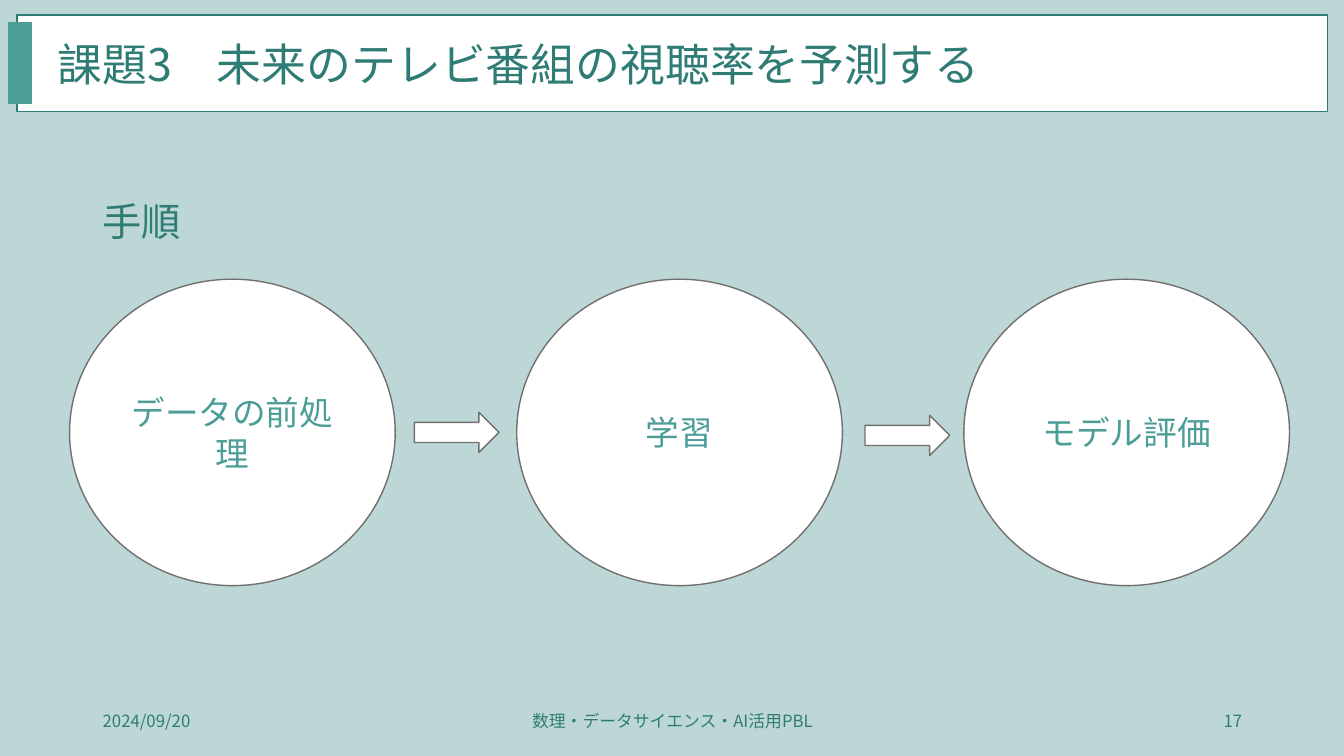
from dataclasses import dataclass

from lxml import etree
from pptx import Presentation
from pptx.dml.color import RGBColor
from pptx.enum import shapes, text
from pptx.oxml import ns
from pptx.util import Inches, Pt

SHAPE = shapes.MSO_SHAPE
ALIGN = text.PP_ALIGN
ANCHOR = text.MSO_ANCHOR


@dataclass(frozen=True)
class Theme:
    font: str = "Noto Sans CJK JP"
    back: str = "BDD7D6"
    panel: str = "FFFFFF"
    dark: str = "2F7C75"
    light: str = "4B9D96"
    edge: str = "707070"
    title: int = 32
    head: int = 28
    step: int = 24
    foot: int = 12


THEME = Theme()


def color(code):
    return RGBColor.from_string(code)


def write(frame, words, size, ink, align=ALIGN.LEFT, anchor=ANCHOR.TOP):
    """Fill a frame with one paragraph, in the theme font for all scripts."""
    frame.word_wrap = True
    frame.vertical_anchor = anchor
    para = frame.paragraphs[0]
    para.text = words
    para.alignment = align
    font = para.font
    font.size = Pt(size)
    font.color.rgb = color(ink)
    font.name = THEME.font
    props = para._p.pPr.find(ns.qn("a:defRPr"))
    etree.SubElement(props, ns.qn("a:ea"), typeface=THEME.font)


def add_form(slide, kind, box, fill, line):
    form = slide.shapes.add_shape(kind, *map(Inches, box))
    form.shadow.inherit = False
    form.fill.solid()
    form.fill.fore_color.rgb = color(fill)
    form.line.color.rgb = color(line)
    form.line.width = Pt(1)
    return form


def add_label(slide, box, words, size, **place):
    label = slide.shapes.add_textbox(*map(Inches, box))
    write(label.text_frame, words, size, THEME.dark, **place)
    return label


def add_title(slide, words):
    add_form(slide, SHAPE.RECTANGLE, (0.17, 0.15, 13, 0.96), THEME.panel, THEME.dark)
    add_form(slide, SHAPE.RECTANGLE, (0.09, 0.23, 0.22, 0.8), THEME.light, THEME.light)
    title = slide.shapes.title
    title.left, title.top, title.width, title.height = map(
        Inches, (0.47, 0.31, 12.54, 0.64))
    write(title.text_frame, words, THEME.title, THEME.dark)
    title.text_frame.auto_size = text.MSO_AUTO_SIZE.SHAPE_TO_FIT_TEXT
    # The title must lie in front of its panel.
    slide.shapes._spTree.append(title._element)


def add_steps(slide, steps):
    for i, step in enumerate(steps):
        box = (0.69 + 4.435 * i, 2.77, 3.23, 3.04)
        disc = add_form(slide, SHAPE.OVAL, box, THEME.panel, THEME.edge)
        write(disc.text_frame, step, THEME.step, THEME.light,
              ALIGN.CENTER, ANCHOR.MIDDLE)
    for left, top in ((4.11, 4.09), (8.58, 4.12)):
        add_form(slide, SHAPE.RIGHT_ARROW, (left, top, 0.84, 0.4),
                 THEME.panel, THEME.edge)


def add_footer(slide, date, course, number):
    for left, width, words, align in (
        (0.92, 3, date, ALIGN.LEFT),
        (4.42, 4.5, course, ALIGN.CENTER),
        (9.42, 3, number, ALIGN.RIGHT),
    ):
        add_label(slide, (left, 6.95, width, 0.4), words, THEME.foot,
                  align=align, anchor=ANCHOR.MIDDLE)


def main():
    deck = Presentation()
    deck.slide_width, deck.slide_height = Inches(13.33), Inches(7.5)
    slide = deck.slides.add_slide(deck.slide_layouts.get_by_name("Title Only"))
    slide.background.fill.solid()
    slide.background.fill.fore_color.rgb = color(THEME.back)

    add_title(slide, "課題3　未来のテレビ番組の視聴率を予測する")
    head = add_label(slide, (0.92, 1.91, 6.67, 0.57), "手順", THEME.head)
    head.text_frame.auto_size = text.MSO_AUTO_SIZE.SHAPE_TO_FIT_TEXT
    add_steps(slide, ("データの前処理", "学習", "モデル評価"))
    add_footer(slide, "2024/09/20", "数理・データサイエンス・AI活用PBL", "17")
    deck.save("out.pptx")


if __name__ == "__main__":
    main()
